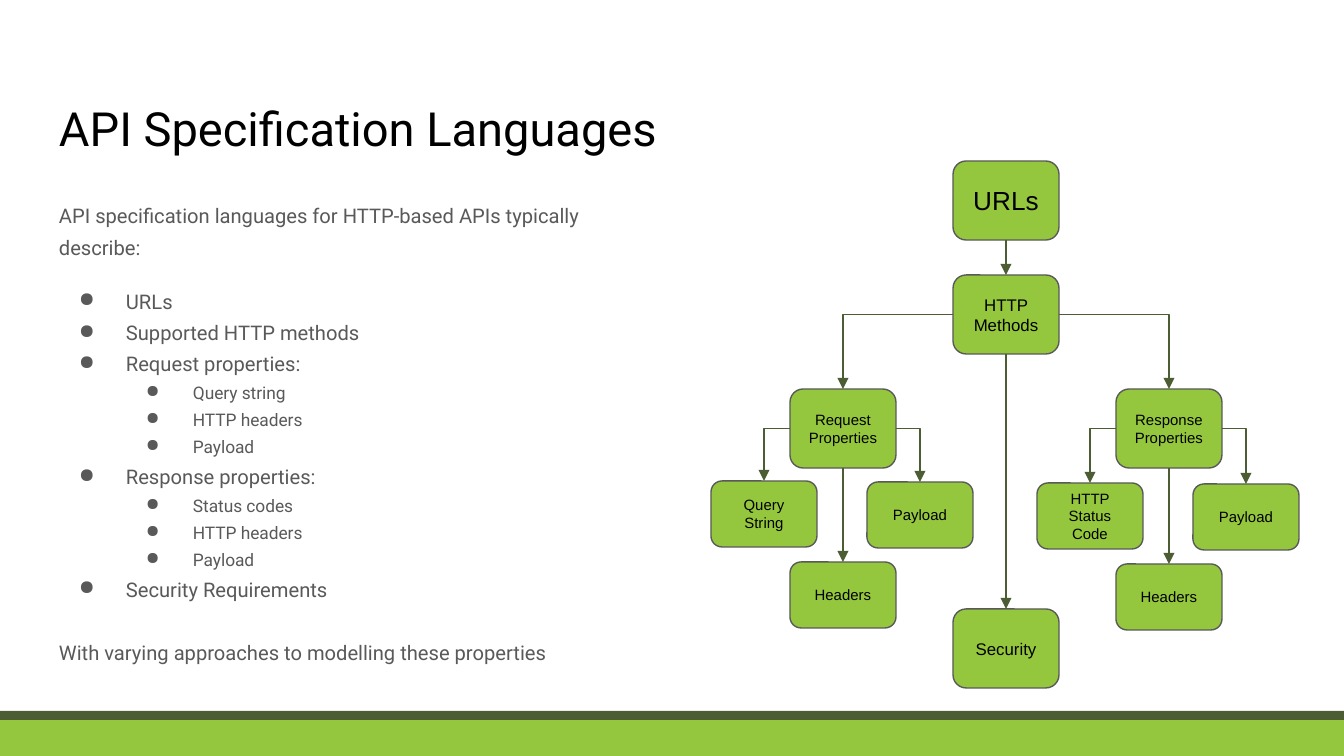
from dataclasses import dataclass

from lxml import etree
from pptx import Presentation
from pptx.dml.color import RGBColor
from pptx.enum.shapes import MSO_CONNECTOR, MSO_SHAPE
from pptx.enum.text import MSO_ANCHOR, MSO_AUTO_SIZE, PP_ALIGN
from pptx.oxml.ns import qn
from pptx.util import Pt

EMU_PER_PX = 914400 / 134.4
STRAIGHT, ELBOW = MSO_CONNECTOR.STRAIGHT, MSO_CONNECTOR.ELBOW
RECT, ROUNDED = MSO_SHAPE.RECTANGLE, MSO_SHAPE.ROUNDED_RECTANGLE
TOP, MIDDLE = MSO_ANCHOR.TOP, MSO_ANCHOR.MIDDLE
LEFT, CENTER = PP_ALIGN.LEFT, PP_ALIGN.CENTER
NO_AUTOFIT = MSO_AUTO_SIZE.NONE
TOP_SITE, LEFT_SITE, BOTTOM_SITE, RIGHT_SITE = range(4)
TITLE_ONLY = 5


@dataclass(frozen=True)
class Theme:
    green: str = "94C73D"
    dark_green: str = "4C5D33"
    grey: str = "595959"
    black: str = "000000"
    text_font: str = "Roboto"
    node_font: str = "Arial"
    title_size: float = 25.2
    level_sizes: tuple = (10.8, 9.3)
    root_size: int = 14
    main_size: int = 9
    detail_size: int = 8
    line_width: float = 0.75


THEME = Theme()
INSET = 13
BULLET_INDENT = 67
BULLET_HANG = 47
NODE_WIDTH, TALL, SHORT = 106, 79, 66
TRUNK_X = 953

INTRO = "API specification languages for HTTP-based APIs typically describe:"
CLOSING = "With varying approaches to modelling these properties"
PROPERTIES = [
    (0, "URLs"),
    (0, "Supported HTTP methods"),
    (0, "Request properties:"),
    (1, "Query string"),
    (1, "HTTP headers"),
    (1, "Payload"),
    (0, "Response properties:"),
    (1, "Status codes"),
    (1, "HTTP headers"),
    (1, "Payload"),
    (0, "Security Requirements"),
]
# heading, left edge, first detail, tops of the first detail, payload and headers
BRANCHES = [
    ("Request Properties", 790, "Query String", (481, 482, 562)),
    ("Response Properties", 1116, "HTTP Status Code", (483, 484, 564)),
]


def px(length):
    return round(length * EMU_PER_PX)


def apply(target, values):
    for name, value in values.items():
        setattr(target, name, value)


def place(shape, left, top, width, height):
    apply(shape, {"left": px(left), "top": px(top),
                  "width": px(width), "height": px(height)})


def format_frame(frame, anchor):
    apply(frame, {"word_wrap": True, "auto_size": NO_AUTOFIT, "vertical_anchor": anchor})
    apply(frame, {f"margin_{side}": px(INSET) for side in ("left", "right", "top", "bottom")})


def write(paragraph, text, size, font, color, align=LEFT):
    paragraph.alignment = align
    run = paragraph.add_run()
    run.text = text
    apply(run.font, {"size": Pt(size), "name": font})
    run.font.color.rgb = RGBColor.from_string(color)


def add_filled(slide, preset, box, color):
    shape = slide.shapes.add_shape(preset, *map(px, box))
    shape.shadow.inherit = False
    shape.fill.solid()
    shape.fill.fore_color.rgb = RGBColor.from_string(color)
    shape.line.fill.background()
    return shape


def add_title(slide, text):
    title = slide.shapes.title
    place(title, 46, 86, 1253, 85)
    format_frame(title.text_frame, TOP)
    write(title.text_frame.paragraphs[0], text, THEME.title_size,
          THEME.text_font, THEME.black)


def add_bullet(paragraph, level):
    properties = paragraph._p.get_or_add_pPr()
    properties.set("marL", str(px(BULLET_INDENT * (level + 1))))
    properties.set("indent", str(-px(BULLET_HANG)))
    color = etree.SubElement(properties, qn("a:buClr"))
    etree.SubElement(color, qn("a:srgbClr"), val=THEME.grey)
    etree.SubElement(properties, qn("a:buChar"), char="●")


def add_description(slide):
    box = slide.shapes.add_textbox(0, 0, 0, 0)
    place(box, 46, 179, 587, 503)
    frame = box.text_frame
    format_frame(frame, MIDDLE)

    def add_line(paragraph, text, level=0, space_before=0):
        apply(paragraph, {"level": level, "line_spacing": 1.3,
                          "space_before": Pt(space_before)})
        write(paragraph, text, THEME.level_sizes[level], THEME.text_font, THEME.grey)

    add_line(frame.paragraphs[0], INTRO)
    for index, (level, text) in enumerate(PROPERTIES):
        paragraph = frame.add_paragraph()
        add_line(paragraph, text, level, 0 if index else 12)
        add_bullet(paragraph, level)
    add_line(frame.add_paragraph(), CLOSING, space_before=17)


def add_node(slide, text, left, top, height, size):
    node = add_filled(slide, ROUNDED, (left, top, NODE_WIDTH, height), THEME.green)
    node.line.color.rgb = RGBColor.from_string(THEME.grey)
    node.line.width = Pt(THEME.line_width)
    format_frame(node.text_frame, MIDDLE)
    write(node.text_frame.paragraphs[0], text, size, THEME.node_font, THEME.black, CENTER)
    return node


def add_arrow(slide, parent, child, site=BOTTOM_SITE):
    """Join a site of the parent to the top of the child, with one bend from a side."""
    kind = STRAIGHT if site == BOTTOM_SITE else ELBOW
    arrow = slide.shapes.add_connector(kind, 0, 0, 0, 0)
    arrow.begin_connect(parent, site)
    arrow.end_connect(child, TOP_SITE)
    arrow.line.color.rgb = RGBColor.from_string(THEME.dark_green)
    arrow.line.width = Pt(THEME.line_width)
    properties = arrow._element.spPr
    if kind == ELBOW:
        properties.find(qn("a:prstGeom")).set("prst", "bentConnector2")
    etree.SubElement(properties.find(qn("a:ln")), qn("a:tailEnd"), type="triangle")
    etree.SubElement(properties, qn("a:effectLst"))


def add_branch(slide, heading, left, first_detail, tops):
    parent = add_node(slide, heading, left, 389, TALL, THEME.detail_size)
    details = [
        (first_detail, -79, LEFT_SITE),
        ("Payload", 77, RIGHT_SITE),
        ("Headers", 0, BOTTOM_SITE),
    ]
    for (text, offset, site), top in zip(details, tops):
        child = add_node(slide, text, left + offset, top, SHORT, THEME.detail_size)
        add_arrow(slide, parent, child, site)
    return parent


def add_tree(slide):
    urls = add_node(slide, "URLs", TRUNK_X, 161, TALL, THEME.root_size)
    methods = add_node(slide, "HTTP Methods", TRUNK_X, 275, TALL, THEME.main_size)
    security = add_node(slide, "Security", TRUNK_X, 609, TALL, THEME.main_size)
    add_arrow(slide, urls, methods)
    add_arrow(slide, methods, security)
    for branch, site in zip(BRANCHES, (LEFT_SITE, RIGHT_SITE)):
        add_arrow(slide, methods, add_branch(slide, *branch), site)


def main():
    deck = Presentation()
    apply(deck, {"slide_width": px(1344), "slide_height": px(756)})
    slide = deck.slides.add_slide(deck.slide_layouts[TITLE_ONLY])
    add_filled(slide, RECT, (0, 715, 1344, 41), THEME.green)
    add_filled(slide, RECT, (0, 711, 1344, 9), THEME.dark_green)
    add_title(slide, "API Specification Languages")
    add_description(slide)
    add_tree(slide)
    deck.save("out.pptx")


if __name__ == "__main__":
    main()
